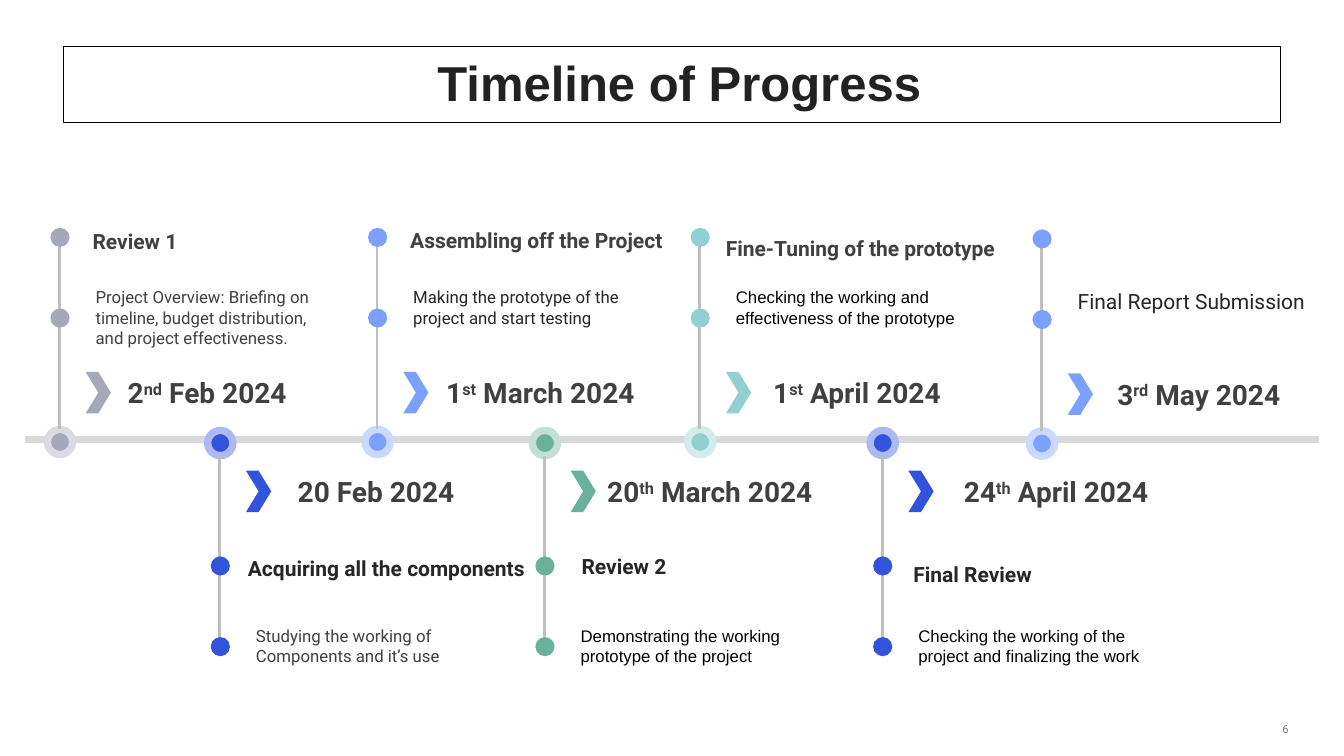
import pptx
import pptx.util
import pptx.dml.color
import pptx.enum.shapes
import pptx.enum.text
import pptx.oxml

RGB = pptx.dml.color.RGBColor
SHAPE = pptx.enum.shapes.MSO_SHAPE
ALIGN = pptx.enum.text.PP_ALIGN
ANCHOR = pptx.enum.text.MSO_ANCHOR

BLACK = RGB(0x00, 0x00, 0x00)
TITLE_INK = RGB(0x22, 0x22, 0x22)
DARK = RGB(0x26, 0x26, 0x26)
INK = RGB(0x40, 0x40, 0x40)
GREY = RGB(0x80, 0x80, 0x80)
STEM = RGB(0xBF, 0xBF, 0xBF)
AXIS = RGB(0xD9, 0xD9, 0xD9)

# Each pair is the marker colour and the halo round its hub
SLATE = RGB(0xA4, 0xA8, 0xB9), RGB(0xDB, 0xDC, 0xE3)
BLUE = RGB(0x32, 0x53, 0xDC), RGB(0xAD, 0xBA, 0xF1)
SKY = RGB(0x7B, 0xA0, 0xFF), RGB(0xCA, 0xD9, 0xFF)
GREEN = RGB(0x6A, 0xB1, 0x9B), RGB(0xC3, 0xE0, 0xD7)
AQUA = RGB(0x90, 0xD0, 0xCE), RGB(0xD3, 0xEC, 0xEB)

# Fine grid laid over the whole slide
COLS, ROWS = 1333, 750

# Rows used by milestones above and below the axis
ABOVE = dict(hub=426, chevron=369, stem=(241, 426), dots=(306, 226), date=368, note=280)
BELOW = dict(hub=427, chevron=467, stem=(452, 637), dots=(552, 632), date=466, note=616)


class Deck:
    """Holds the style and the current slide; all lengths are grid columns and rows."""

    font = "Roboto"

    def __init__(self):
        self.prs = pptx.Presentation()
        self.prs.slide_width = pptx.util.Inches(13.33)
        self.prs.slide_height = pptx.util.Inches(7.5)
        self.s = self.prs.slides.add_slide(self.prs.slide_layouts[5])
        self.shapes = self.s.shapes

    def x(self, cols):
        return int(self.prs.slide_width * cols / COLS)

    def y(self, rows):
        return int(self.prs.slide_height * rows / ROWS)

    def box(self, left, top, width, height):
        return self.x(left), self.y(top), self.x(width), self.y(height)

    def style(self, p, size, color, bold=False, font=None, align=ALIGN.LEFT):
        p.alignment = align
        p.font.size = pptx.util.Pt(size)
        p.font.name = font or self.font
        p.font.bold = bold
        p.font.color.rgb = color

    def title(self, text, *area):
        sp = self.s.shapes.title
        sp.left, sp.top, sp.width, sp.height = self.box(*area)
        sp.line.color.rgb = BLACK
        sp.line.width = pptx.util.Pt(0.75)
        tf = sp.text_frame
        tf.text = text
        tf.vertical_anchor = ANCHOR.TOP
        tf.margin_left, tf.margin_right = self.x(15), 0
        tf.margin_top = tf.margin_bottom = self.y(10)
        p = tf.paragraphs[0]
        p.line_spacing, p.space_before = 0.95, pptx.util.Pt(12)
        self.style(p, 35, TITLE_INK, True, "Arial", ALIGN.CENTER)

    def text(self, parts, area, *style, **more):
        """Every second part is raised as a superscript."""
        tf = self.shapes.add_textbox(*self.box(*area)).text_frame
        tf.word_wrap = True
        p = tf.paragraphs[0]
        for i, part in enumerate(parts):
            r = p.add_run()
            r.text = part
            if i % 2:
                r._r.get_or_add_rPr().set("baseline", "30000")
        self.style(p, *style, **more)
        return tf

    def line(self, x1, y1, x2, y2, color, width):
        ln = self.shapes.add_connector(pptx.enum.shapes.MSO_CONNECTOR.STRAIGHT,
                                       self.x(x1), self.y(y1), self.x(x2), self.y(y2))
        ln.line.color.rgb = color
        ln.line.width = pptx.util.Pt(width)
        ln._element.spPr.append(pptx.oxml.parse_xml(
            '<a:effectLst xmlns:a="http://schemas.openxmlformats.org/drawingml/2006/main"/>'))

    def marker(self, kind, area, fill, halo=None):
        sp = self.shapes.add_shape(kind, *self.box(*area))
        sp.shadow.inherit = False
        sp.fill.solid()
        sp.fill.fore_color.rgb = fill
        if halo:
            sp.line.color.rgb = halo
            sp.line.width = pptx.util.Pt(5.25)
        else:
            sp.line.fill.background()

    def milestone(self, left, rows, colors, date, date_width, heading, note, drop=0):
        """heading is (text, left, top, width, colour); note is (text, rows high, style)."""
        self.shapes = self.s.shapes.add_group_shape().shapes
        color, halo = colors
        # Hub, chevron, stem and dots
        self.marker(SHAPE.OVAL, (left, rows["hub"] + drop, 25, 25), color, halo)
        self.marker(SHAPE.CHEVRON, (left + 38, rows["chevron"] + drop, 25, 41), color)
        start, end = rows["stem"]
        self.line(left + 12, start + drop, left + 12, end + drop, STEM, 2)
        for top in rows["dots"]:
            self.marker(SHAPE.OVAL, (left + 3, top + drop, 19, 19), color)
        # Date, heading and note
        self.text(date, (left + 64, rows["date"] + drop, date_width, 44),
                  20, INK, True, align=ALIGN.CENTER)
        if heading:
            text, x, y, width, ink = heading
            self.text([text], (x, y, width, 35), 15, ink, True)
        text, height, style = note
        self.text([text], (left + 38, rows["note"] + drop, 249, height), **style)
        self.shapes = self.s.shapes


def main():
    deck = Deck()
    deck.title("Timeline of Progress", 63, 46, 1207, 76)

    # Axis
    deck.line(25, 436, 1308, 436, AXIS, 4.75)

    # Milestones
    soft = dict(size=12, color=INK)
    dark = dict(size=12, color=DARK)
    plain = dict(size=12, color=BLACK, font="Arial")
    large = dict(size=15, color=DARK)
    milestones = [
        (47, ABOVE, SLATE, ("2", "nd", " Feb 2024"), 189,
         ("Review 1", 82, 222, 249, INK),
         ("Project Overview: Briefing on timeline, budget distribution, "
          "and project effectiveness.", 71, soft)),
        (206, BELOW, BLUE, ("20 Feb 2024",), 206,
         ("Acquiring all the components", 236, 546, 305, DARK),
         ("Studying the working of Components and it’s use", 50, soft)),
        (362, ABOVE, SKY, ("1", "st", " March 2024"), 220,
         ("Assembling off the Project", 397, 221, 290, INK),
         ("Making the prototype of the project and start testing", 50, dark)),
        (528, BELOW, GREEN, ("20", "th", " March 2024"), 224,
         ("Review 2", 567, 544, 249, DARK),
         ("Demonstrating the working prototype of the project", 50, plain)),
        (682, ABOVE, AQUA, ("1", "st", " April 2024"), 208,
         ("Fine-Tuning of the prototype", 710, 229, 305, INK),
         ("Checking the working and effectiveness of the prototype", 50, plain)),
        (863, BELOW, BLUE, ("24", "th", " April 2024"), 241,
         ("Final Review", 896, 552, 249, DARK),
         ("Checking the working of the project and finalizing the work", 50, plain)),
        (1021, ABOVE, SKY, ("3", "rd", " May 2024"), 208, None,
         ("Final Report Submission", 35, large), 1.5),
    ]
    for milestone in milestones:
        deck.milestone(*milestone)

    # Page number
    tf = deck.text(["6"], (1200, 714, 78, 15), 8, GREY, align=ALIGN.RIGHT)
    tf.margin_left = tf.margin_right = tf.margin_top = tf.margin_bottom = 0
    tf.vertical_anchor = ANCHOR.MIDDLE
    tf.paragraphs[0].line_spacing = 1.25

    deck.prs.save("out.pptx")


if __name__ == "__main__":
    main()
